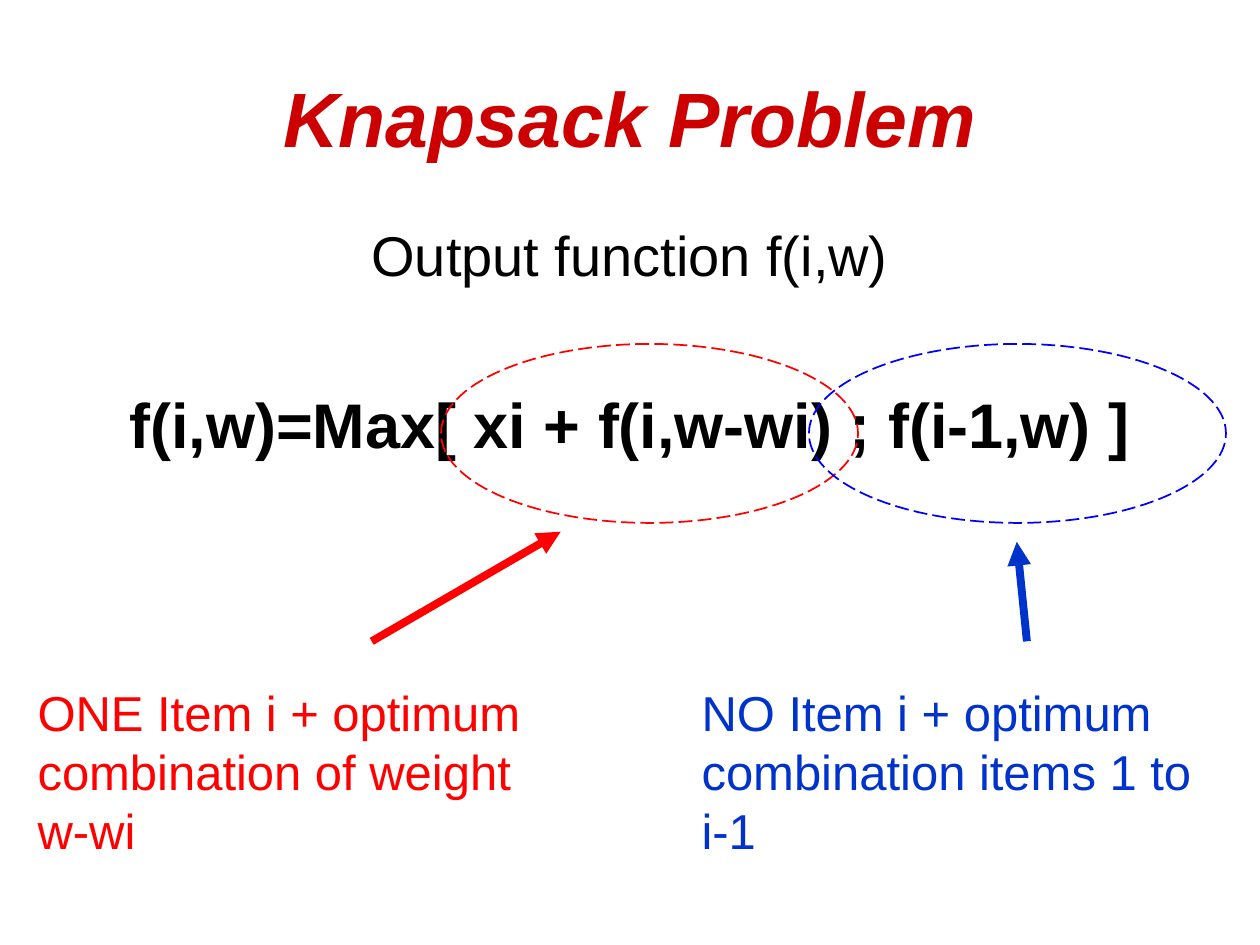
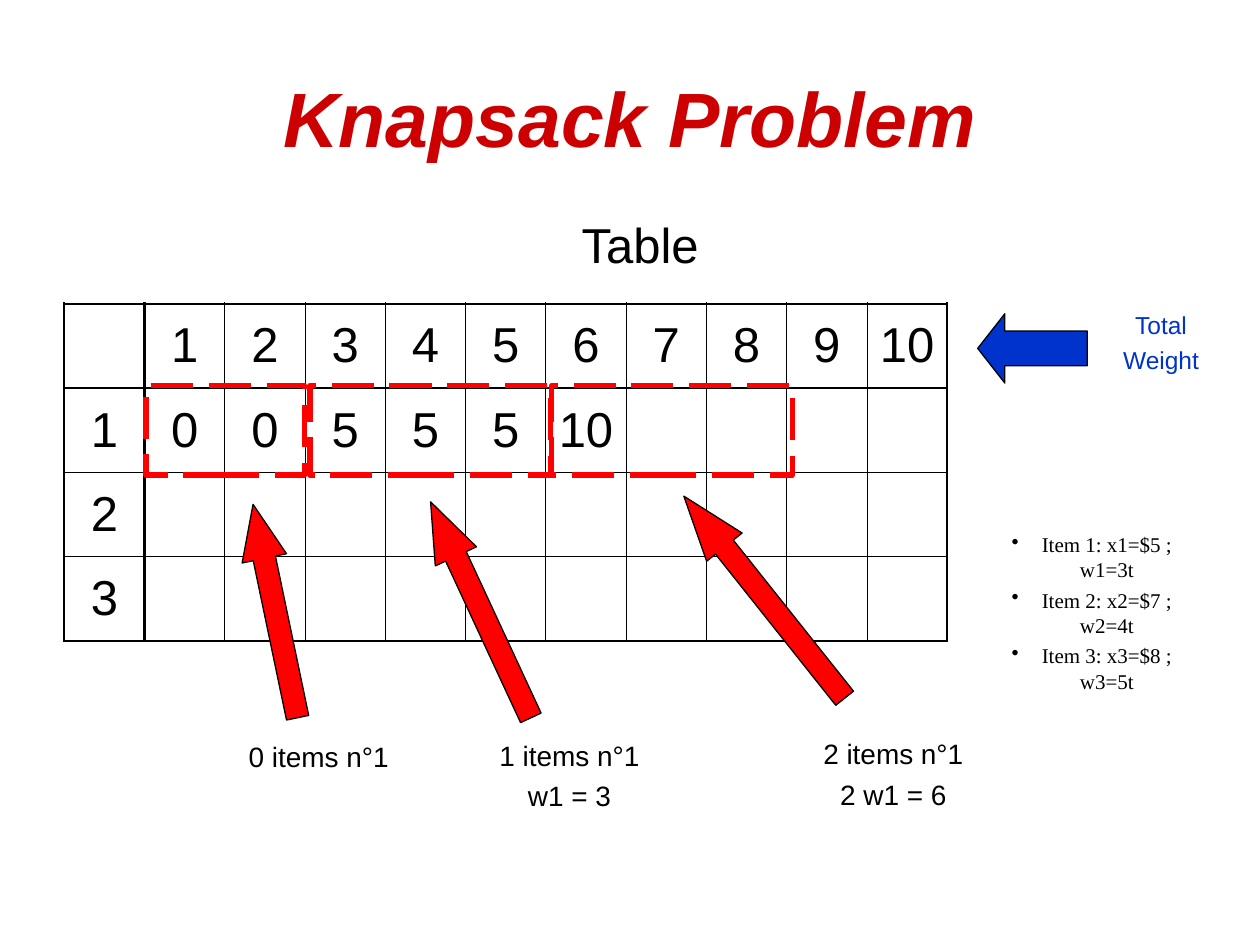
from dataclasses import dataclass

import pptx
import pptx.dml.color
import pptx.enum.dml
import pptx.enum.shapes
import pptx.enum.text
import pptx.oxml.ns
import pptx.oxml.xmlchemy
import pptx.presentation
import pptx.slide
import pptx.util
from lxml import etree

RGBColor = pptx.dml.color.RGBColor
BLACK = RGBColor(0x00, 0x00, 0x00)
TITLE_RED = RGBColor(0xCC, 0x00, 0x00)
RED = RGBColor(0xFF, 0x00, 0x00)
BLUE = RGBColor(0x00, 0x33, 0xCC)
BRIGHT_BLUE = RGBColor(0x00, 0x00, 0xFF)

EMU_PER_PX = 9144  # 100 px to the inch
SANS = "Arial"
SERIF = "Times New Roman"
CENTER = pptx.enum.text.PP_ALIGN.CENTER
LEFT = pptx.enum.text.PP_ALIGN.LEFT
OVAL = pptx.enum.shapes.MSO_SHAPE.OVAL
RECTANGLE = pptx.enum.shapes.MSO_SHAPE.RECTANGLE
LEFT_ARROW = pptx.enum.shapes.MSO_SHAPE.LEFT_ARROW

THIN, THICK = 0.45, 1.47
WEIGHTS = [str(weight) for weight in range(1, 11)]
TABLE_ROWS = [
    [""] + WEIGHTS,
    ["1", "0", "0", "5", "5", "5", "10"],
    ["2"],
    ["3"],
]


@dataclass(frozen=True)
class Area:
    left: int
    top: int
    width: int
    height: int

    def emu(self) -> tuple[int, int, int, int]:
        return px(self.left), px(self.top), px(self.width), px(self.height)


@dataclass(frozen=True)
class Label:
    area: Area
    lines: tuple[str, ...]
    size: int
    color: RGBColor = BLACK
    font: str = SANS
    align: pptx.enum.text.PP_ALIGN = CENTER
    margin_y: int = 5
    bulleted: bool = False


@dataclass(frozen=True)
class Outline:
    kind: pptx.enum.shapes.MSO_SHAPE
    area: Area
    color: RGBColor
    weight: float


@dataclass(frozen=True)
class BlockArrow:
    area: Area
    color: RGBColor
    head: float
    rotation: float = 0


@dataclass(frozen=True)
class Pointer:
    start: tuple[int, int]
    end: tuple[int, int]
    color: RGBColor


OUTPUT_LABELS = [
    Label(Area(20, 537, 433, 213), ("ONE Item i + optimum combination of weight w-wi",), 28, RED, align=LEFT),
    Label(Area(547, 537, 433, 213), ("NO Item i + optimum combination items 1 to i-1",), 28, BLUE, align=LEFT),
]
TERM_OUTLINES = [
    Outline(OVAL, Area(350, 273, 331, 142), RED, 1),
    Outline(OVAL, Area(642, 273, 331, 142), BRIGHT_BLUE, 1),
]
POINTERS = [
    Pointer((295, 509), (445, 422), RED),
    Pointer((815, 509), (807, 430), BLUE),
]
TABLE_LABELS = [
    Label(Area(287, 170, 442, 66), ("Table",), 28, margin_y=0),
    Label(Area(878, 241, 87, 62), ("Total", "Weight"), 14, BLUE),
    Label(Area(131, 582, 244, 66), ("0 items n°1",), 16),
    Label(Area(330, 581, 244, 66), ("1 items n°1", "w1 = 3"), 16),
    Label(Area(587, 580, 244, 66), ("2 items n°1", "2 w1 = 6"), 16),
    Label(
        Area(775, 417, 183, 79),
        ("Item 1: x1=$5 ; w1=3t", "Item 2: x2=$7 ; w2=4t", "Item 3: x3=$8 ; w3=5t"),
        12, font=SERIF, bulleted=True,
    ),
]
BLOCK_ARROWS = [
    BlockArrow(Area(776, 249, 87, 55), BLUE, 0.392),
    BlockArrow(Area(504, 456, 205, 36), RED, 1.438, 51.5),
    BlockArrow(Area(287, 466, 189, 36), RED, 1.327, 65.1),
    BlockArrow(Area(132, 467, 173, 36), RED, 1.217, 78.2),
]
CELL_GROUPS = [
    Outline(RECTANGLE, Area(left, 306, width, 71), RED, 3)
    for left, width in ((116, 126), (246, 191), (438, 191))
]


def px(length: int) -> int:
    return length * EMU_PER_PX


def add_child(parent: etree._Element, tag: str, **attributes: str) -> etree._Element:
    child = etree.SubElement(parent, pptx.oxml.ns.qn(tag))
    for name, value in attributes.items():
        child.set(name, value)
    return child


def style_paragraph(para, size: int, color: RGBColor, font: str = SANS,
                    align=CENTER, bold: bool = False, italic: bool = False) -> None:
    para.alignment = align
    for span in para.runs:
        span.font.name = font
        span.font.size = pptx.util.Pt(size)
        span.font.color.rgb = color
        span.font.bold = bold
        span.font.italic = italic


def add_bullet(para) -> None:
    properties = para._p.get_or_add_pPr()
    properties.set("marL", str(px(24)))
    properties.set("indent", str(px(-24)))
    add_child(properties, "a:buChar", char="•")


def add_titled_page(deck: pptx.presentation.Presentation) -> pptx.slide.Slide:
    page = deck.slides.add_slide(deck.slide_layouts[5])
    title = page.shapes.title
    title.left, title.top, title.width, title.height = Area(50, 30, 900, 125).emu()
    title.text_frame.text = "Knapsack Problem"
    title.text_frame.vertical_anchor = pptx.enum.text.MSO_ANCHOR.MIDDLE
    style_paragraph(title.text_frame.paragraphs[0], 44, TITLE_RED, bold=True, italic=True)
    return page


def add_label(page: pptx.slide.Slide, label: Label):
    box = page.shapes.add_textbox(*label.area.emu())
    frame = box.text_frame
    frame.word_wrap = True
    frame.margin_left = frame.margin_right = px(10)
    frame.margin_top = frame.margin_bottom = px(label.margin_y)
    frame.text = "\n".join(label.lines)
    for para in frame.paragraphs:
        style_paragraph(para, label.size, label.color, label.font, label.align)
        para.space_before = pptx.util.Pt(label.size / 4)
        if label.bulleted:
            add_bullet(para)
    return box


def add_outline(page: pptx.slide.Slide, outline: Outline) -> None:
    shape = page.shapes.add_shape(outline.kind, *outline.area.emu())
    shape.shadow.inherit = False
    shape.fill.background()
    shape.line.color.rgb = outline.color
    shape.line.width = pptx.util.Pt(outline.weight)
    shape.line.dash_style = pptx.enum.dml.MSO_LINE.LONG_DASH


def add_block_arrow(page: pptx.slide.Slide, arrow: BlockArrow) -> None:
    shape = page.shapes.add_shape(LEFT_ARROW, *arrow.area.emu())
    shape.adjustments[1] = arrow.head
    shape.rotation = arrow.rotation
    shape.shadow.inherit = False
    shape.fill.solid()
    shape.fill.fore_color.rgb = arrow.color
    shape.line.color.rgb = BLACK
    shape.line.width = pptx.util.Pt(0.75)


def add_pointer(page: pptx.slide.Slide, pointer: Pointer) -> None:
    ends = [px(value) for value in pointer.start + pointer.end]
    line = page.shapes.add_connector(pptx.enum.shapes.MSO_CONNECTOR.STRAIGHT, *ends)
    line.line.color.rgb = pointer.color
    line.line.width = pptx.util.Pt(4.5)
    add_child(line.line._get_or_add_ln(), "a:tailEnd", type="triangle")
    add_child(line._element.spPr, "a:effectLst")


def set_borders(cell, row: int, column: int, last_row: int, last_column: int) -> None:
    """Thick lines run round the table and along its header row and column."""
    thick_sides = {
        "a:lnL": column in (0, 1),
        "a:lnR": column in (0, last_column),
        "a:lnT": row in (0, 1),
        "a:lnB": row in (0, last_row),
    }
    properties = cell._tc.get_or_add_tcPr()
    for tag, thick in thick_sides.items():
        width = pptx.util.Pt(THICK if thick else THIN)
        border = add_child(properties, tag, w=str(int(width)))
        add_child(add_child(border, "a:solidFill"), "a:srgbClr", val=str(BLACK))


def add_weight_table(page: pptx.slide.Slide) -> None:
    rows, columns = len(TABLE_ROWS), len(TABLE_ROWS[0])
    frame = page.shapes.add_table(rows, columns, *Area(51, 241, 701, 268).emu())
    table = frame.table
    table.first_row = table.horz_banding = False
    for row, values in enumerate(TABLE_ROWS):
        for column in range(columns):
            cell = table.cell(row, column)
            set_borders(cell, row, column, rows - 1, columns - 1)
            cell.fill.background()
            cell.vertical_anchor = pptx.enum.text.MSO_ANCHOR.MIDDLE
            if column < len(values) and values[column]:
                cell.text_frame.text = values[column]
                para = cell.text_frame.paragraphs[0]
                style_paragraph(para, 28, BLACK)
                para.space_before = pptx.util.Pt(7)


def build_output_page(deck: pptx.presentation.Presentation) -> None:
    page = add_titled_page(deck)
    formula = "f(i,w)=Max[ xi + f(i,w-wi) ; f(i-1,w) ]"
    body = Label(Area(50, 175, 900, 247), ("Output function f(i,w)", formula), 32, margin_y=0)
    box = add_label(page, body)
    para = box.text_frame.paragraphs[1]
    style_paragraph(para, 36, BLACK, bold=True)
    para.space_before = pptx.util.Pt(56)
    for outline in TERM_OUTLINES:
        add_outline(page, outline)
    for pointer in POINTERS:
        add_pointer(page, pointer)
    for label in OUTPUT_LABELS:
        add_label(page, label)


def build_table_page(deck: pptx.presentation.Presentation) -> None:
    page = add_titled_page(deck)
    add_weight_table(page)
    for arrow in BLOCK_ARROWS:
        add_block_arrow(page, arrow)
    for group in CELL_GROUPS:
        add_outline(page, group)
    for label in TABLE_LABELS:
        add_label(page, label)


def main() -> None:
    deck = pptx.Presentation()
    deck.slide_width, deck.slide_height = px(1000), px(750)
    build_output_page(deck)
    build_table_page(deck)
    deck.save("out.pptx")


if __name__ == "__main__":
    main()
